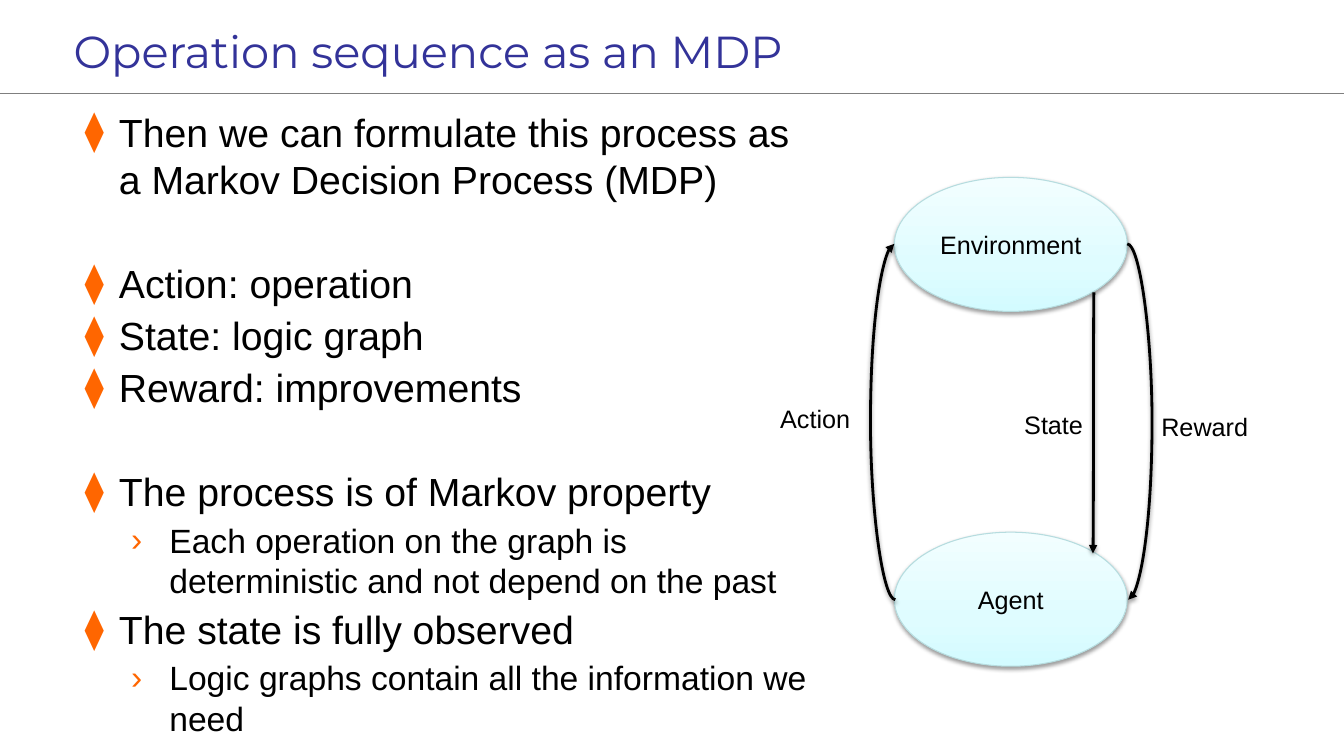
"""Build the slide that presents an operation sequence as an MDP."""
import pptx
import pptx.dml.color
import pptx.enum.shapes
import pptx.enum.text
import pptx.oxml
import pptx.oxml.ns
import pptx.util
import copy

Inches, Pt = pptx.util.Inches, pptx.util.Pt
RGBColor = pptx.dml.color.RGBColor
qn = pptx.oxml.ns.qn
Anchor = pptx.enum.text.MSO_ANCHOR
Align = pptx.enum.text.PP_ALIGN

BLACK = RGBColor(0x00, 0x00, 0x00)
INDIGO = RGBColor(0x33, 0x33, 0x99)
ORANGE = RGBColor(0xFF, 0x66, 0x00)
GRAY = RGBColor(0x7F, 0x7F, 0x7F)
OVAL_EDGE = RGBColor(0xB6, 0xDC, 0xDF)
OVAL_STOPS = [(0, RGBColor(0xD3, 0xFB, 0xFF)),
              (0.35, RGBColor(0xDF, 0xFC, 0xFF)),
              (1, RGBColor(0xF2, 0xFE, 0xFF))]
NAMESPACE = 'xmlns:a="http://schemas.openxmlformats.org/drawingml/2006/main"'
SHADOW = (f'<a:effectLst {NAMESPACE}><a:outerShdw blurRad="39370" dist="20320" dir="5400000" '
          'rotWithShape="0"><a:srgbClr val="000000"><a:alpha val="38000"/></a:srgbClr>'
          '</a:outerShdw></a:effectLst>')
NO_SHADOW = f'<a:effectLst {NAMESPACE}/>'
BULLETS = [("⧫", 28, 0.5, -0.34), ("›", 24, 1, -0.38)]
SPACE, SECTION_SPACE = 3.6, 40.8


def write(paragraph, text, size=18, color=BLACK, font="Arial", align=Align.LEFT, before=0):
    paragraph.alignment = align
    paragraph.space_before = Pt(before)
    run = paragraph.add_run()
    run.text = text
    run.font.name, run.font.size, run.font.color.rgb = font, Pt(size), color


class MdpSlide:
    def __init__(self, presentation):
        self.slide = presentation.slides.add_slide(presentation.slide_layouts[1])
        self.shapes = self.slide.shapes

    def place(self, shape, left, top, width, height):
        shape.left, shape.top = Inches(left), Inches(top)
        shape.width, shape.height = Inches(width), Inches(height)

    def title(self, text, *box):
        shape = self.shapes.title
        self.place(shape, *box)
        shape.text_frame.vertical_anchor = Anchor.MIDDLE
        write(shape.text_frame.paragraphs[0], text, size=32, color=INDIGO, font="Montserrat")

    def bullets(self, items, *box):
        shape = self.slide.placeholders[1]
        self.place(shape, *box)
        frame = shape.text_frame
        frame.auto_size = pptx.enum.text.MSO_AUTO_SIZE.NONE
        for number, (level, before, text) in enumerate(items):
            paragraph = frame.add_paragraph() if number else frame.paragraphs[0]
            mark, size, margin, indent = BULLETS[level]
            paragraph.level = level
            write(paragraph, text, size=size, before=before)
            properties = paragraph._p.get_or_add_pPr()
            properties.set("marL", str(Inches(margin)))
            properties.set("indent", str(Inches(indent)))
            for xml in (f'<a:buClr {NAMESPACE}><a:srgbClr val="{ORANGE}"/></a:buClr>',
                        f'<a:buFont {NAMESPACE} typeface="Arial"/>',
                        f'<a:buChar {NAMESPACE} char="{mark}"/>'):
                properties.append(pptx.oxml.parse_xml(xml))

    def oval(self, text, *box):
        shape = self.shapes.add_shape(pptx.enum.shapes.MSO_SHAPE.OVAL, *map(Inches, box))
        shape.fill.gradient()
        shape.fill.gradient_angle = 90
        stop_list = shape._element.spPr.find(".//" + qn("a:gsLst"))
        stop_list.append(copy.deepcopy(stop_list[0]))
        for stop, (position, color) in zip(shape.fill.gradient_stops, OVAL_STOPS):
            stop.position, stop.color.rgb = position, color
        shape.line.color.rgb, shape.line.width = OVAL_EDGE, Pt(0.75)
        shape._element.spPr.append(pptx.oxml.parse_xml(SHADOW))
        shape.text_frame.vertical_anchor = Anchor.MIDDLE
        write(shape.text_frame.paragraphs[0], text, align=Align.CENTER)

    def label(self, text, *box):
        frame = self.shapes.add_textbox(*map(Inches, box)).text_frame
        frame.word_wrap = False
        write(frame.paragraphs[0], text)

    def line(self, kind, ends, color, width, effect):
        connector = self.shapes.add_connector(kind, *map(Inches, ends))
        connector.line.color.rgb, connector.line.width = color, Pt(width)
        connector._element.spPr.append(pptx.oxml.parse_xml(effect))
        return connector

    def rule(self, *ends):
        self.line(pptx.enum.shapes.MSO_CONNECTOR.STRAIGHT, ends, GRAY, 0.75, NO_SHADOW)

    def arrow(self, *ends, bend):
        connector = self.line(pptx.enum.shapes.MSO_CONNECTOR.CURVE, ends, BLACK, 2, SHADOW)
        properties = connector._element.spPr
        properties.find(qn("a:ln")).append(
            pptx.oxml.parse_xml(f'<a:tailEnd {NAMESPACE} type="triangle"/>'))
        geometry = properties.find(qn("a:prstGeom"))
        for guides in geometry.findall(qn("a:avLst")):
            geometry.remove(guides)
        geometry.append(pptx.oxml.parse_xml(
            f'<a:avLst {NAMESPACE}><a:gd name="adj1" fmla="val {int(bend * 100000)}"/></a:avLst>'))


def main():
    presentation = pptx.Presentation()
    presentation.slide_width, presentation.slide_height = Inches(13.33), Inches(7.5)
    page = MdpSlide(presentation)
    page.rule(0, 0.93, 13.33, 0.93)
    page.title("Operation sequence as an MDP", 0.63, 0.11, 12.06, 0.78)
    page.bullets([
        (0, SPACE, "Then we can formulate this process as a Markov Decision Process (MDP)"),
        (0, SECTION_SPACE, "Action: operation"),
        (0, SPACE, "State: logic graph"),
        (0, SPACE, "Reward: improvements"),
        (0, SECTION_SPACE, "The process is of Markov property"),
        (1, SPACE, "Each operation on the graph is deterministic and not depend on the past"),
        (0, SPACE, "The state is fully observed"),
        (1, SPACE, "Logic graphs contain all the information we need"),
    ], 0.58, 1.02, 7.55, 5.84)
    for text, top in (("Agent", 5.28), ("Environment", 1.76)):
        page.oval(text, 8.87, top, 2.31, 1.33)
    page.arrow(8.88, 5.95, 8.87, 2.42, bend=25)
    page.arrow(10.85, 2.9, 10.84, 5.49, bend=0.5)
    page.arrow(11.18, 2.42, 11.19, 5.95, bend=25)
    page.label("Action", 7.64, 3.95, 0.9, 0.4)
    page.label("State", 10.06, 4.01, 0.79, 0.4)
    page.label("Reward", 11.42, 4.03, 1.07, 0.4)
    presentation.save("out.pptx")


if __name__ == "__main__":
    main()
